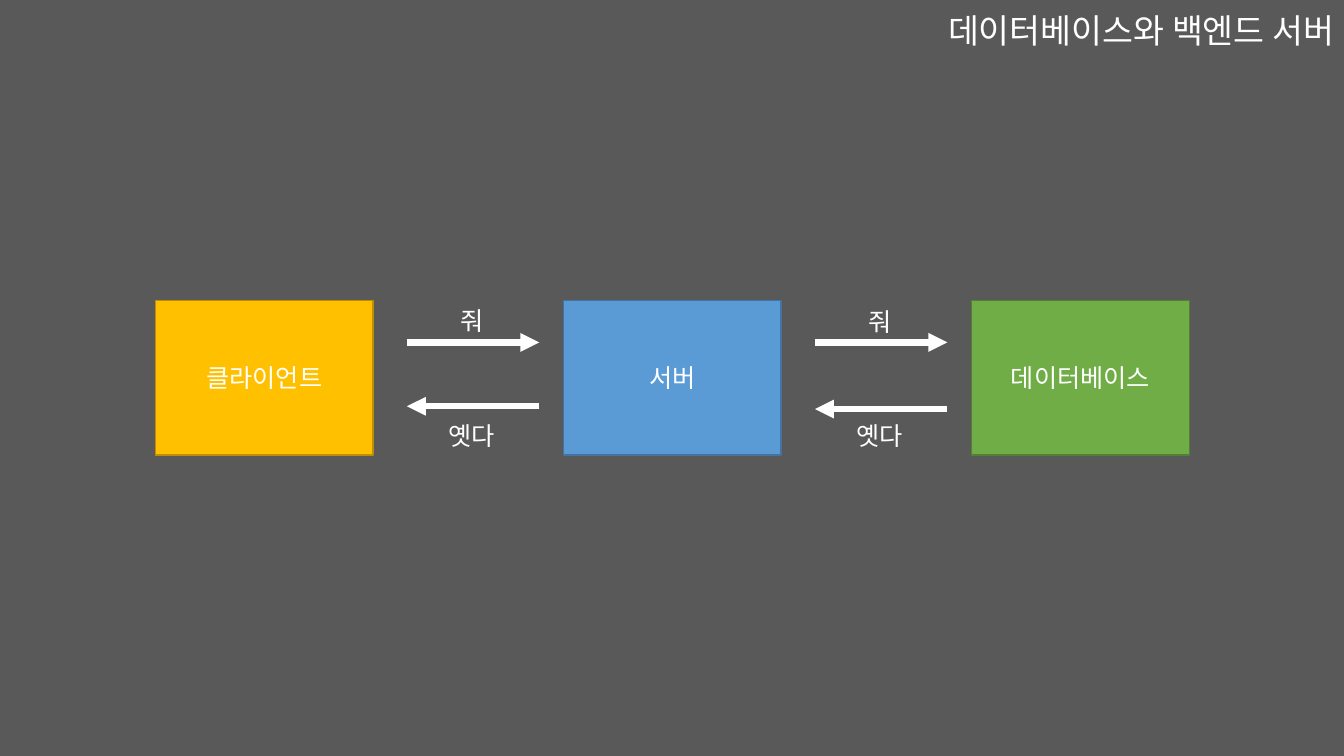
"""Build a slide on requests passing between client, server and database."""
from pptx import Presentation
from pptx.dml.color import RGBColor
from pptx.enum import shapes, text
from pptx.oxml import ns
from pptx.util import Pt
from lxml import etree

WHITE = RGBColor(0xFF, 0xFF, 0xFF)
GREY = RGBColor(0x59, 0x59, 0x59)
AMBER = RGBColor(0xFF, 0xC0, 0x00)
AMBER_EDGE = RGBColor(0xBD, 0x8E, 0x00)
BLUE = RGBColor(0x5B, 0x9B, 0xD5)
BLUE_EDGE = RGBColor(0x43, 0x73, 0x9E)
GREEN = RGBColor(0x70, 0xAD, 0x47)
GREEN_EDGE = RGBColor(0x53, 0x80, 0x35)


def write(frame, words, size=18, align=text.PP_ALIGN.LEFT, anchor=text.MSO_ANCHOR.TOP,
          wrap=True, font="Noto Sans CJK KR", color=WHITE, spacing=None, before=None):
    frame.word_wrap = wrap
    frame.vertical_anchor = anchor
    paragraph = frame.paragraphs[0]
    paragraph.alignment = align
    paragraph.line_spacing = spacing
    paragraph.space_before = before
    run = paragraph.add_run()
    run.text = words
    run.font.name = font
    run.font.size = Pt(size)
    run.font.color.rgb = color
    etree.SubElement(run.font._element, ns.qn("a:ea"), typeface=font)


class Diagram:
    def __init__(self, slide, ink=WHITE, arrow_width=4.5, edge_width=1):
        self.slide = slide
        self.ink = ink
        self.arrow_width = Pt(arrow_width)
        self.edge_width = Pt(edge_width)

    def title(self, words, left, top, width, height):
        heading = self.slide.shapes.add_textbox(Pt(left), Pt(top), Pt(width), Pt(height))
        write(heading.text_frame, words, size=24, align=text.PP_ALIGN.RIGHT,
              spacing=0.9, before=Pt(10))

    def node(self, words, left, top, width, height, fill, edge):
        node = self.slide.shapes.add_shape(shapes.MSO_SHAPE.RECTANGLE,
                                           Pt(left), Pt(top), Pt(width), Pt(height))
        node.shadow.inherit = False
        node.fill.solid()
        node.fill.fore_color.rgb = fill
        node.line.color.rgb = edge
        node.line.width = self.edge_width
        write(node.text_frame, words, align=text.PP_ALIGN.CENTER,
              anchor=text.MSO_ANCHOR.MIDDLE)

    def arrow(self, start, end, y):
        arrow = self.slide.shapes.add_connector(shapes.MSO_CONNECTOR.STRAIGHT,
                                                Pt(start), Pt(y), Pt(end), Pt(y))
        arrow.line.color.rgb = self.ink
        arrow.line.width = self.arrow_width
        etree.SubElement(arrow.line._get_or_add_ln(), ns.qn("a:tailEnd"), type="triangle")
        etree.SubElement(arrow._element.spPr, ns.qn("a:effectLst"))

    def label(self, words, left, top, width, height=29):
        caption = self.slide.shapes.add_textbox(Pt(left), Pt(top), Pt(width), Pt(height))
        caption.text_frame.auto_size = text.MSO_AUTO_SIZE.SHAPE_TO_FIT_TEXT
        write(caption.text_frame, words, wrap=False)


def main():
    deck = Presentation()
    deck.slide_width, deck.slide_height = Pt(960), Pt(540)
    slide = deck.slides.add_slide(deck.slide_layouts[6])
    slide.background.fill.solid()
    slide.background.fill.fore_color.rgb = GREY

    diagram = Diagram(slide)
    diagram.title("데이터베이스와 백엔드 서버", 441.5, 7, 518.5, 34.5)

    step = 291.5
    tiers = [("클라이언트", AMBER, AMBER_EDGE),
             ("서버", BLUE, BLUE_EDGE),
             ("데이터베이스", GREEN, GREEN_EDGE)]
    for column, (tier, fill, edge) in enumerate(tiers):
        diagram.node(tier, 111 + column * step, 214.8, 155.5, 110.2, fill, edge)

    for gap, reply_y in enumerate((290.2, 292.2)):
        start = 290.7 + gap * step
        end = start + 94.5
        diagram.arrow(start, end, 244.6)
        diagram.arrow(end, start, reply_y)
        diagram.label("줘", start + 31, 214.8 + gap * 0.5, 32.5)
        diagram.label("옛다", start + 22.3, 296.8, 50)

    deck.save("out.pptx")


if __name__ == "__main__":
    main()
